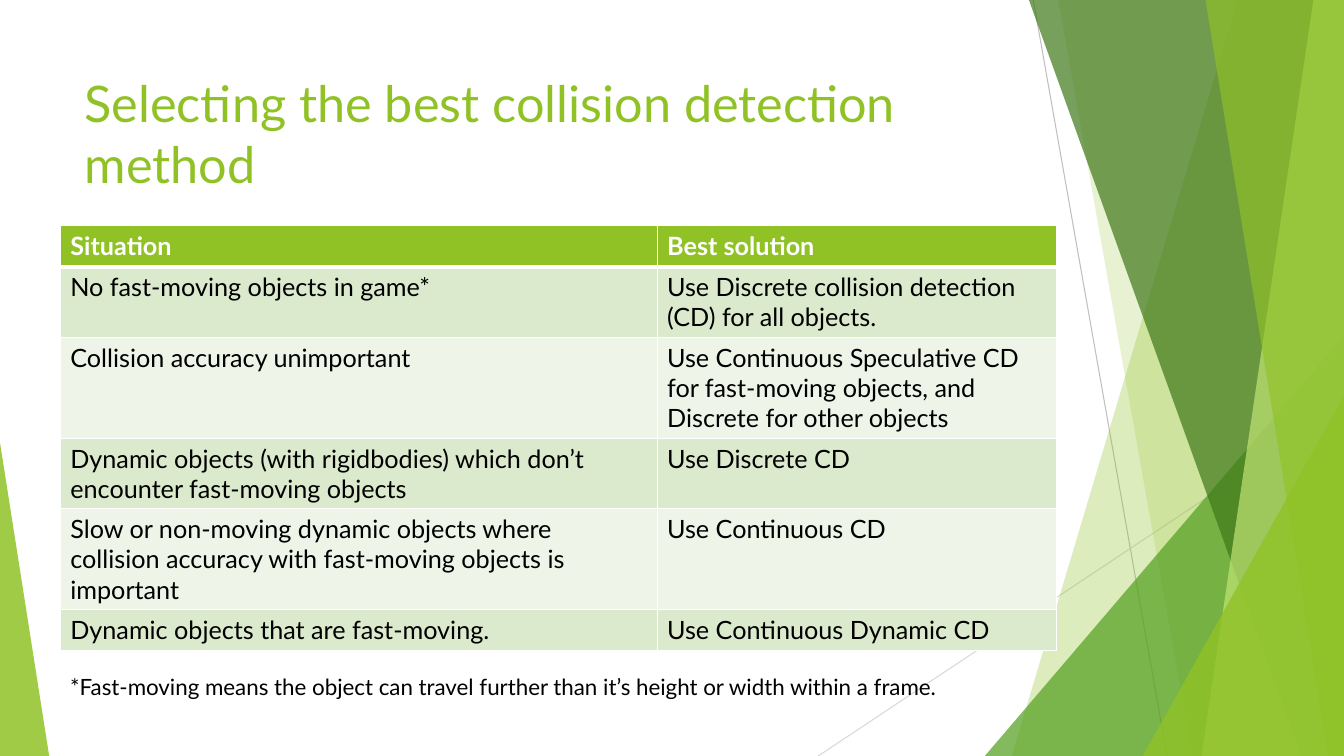
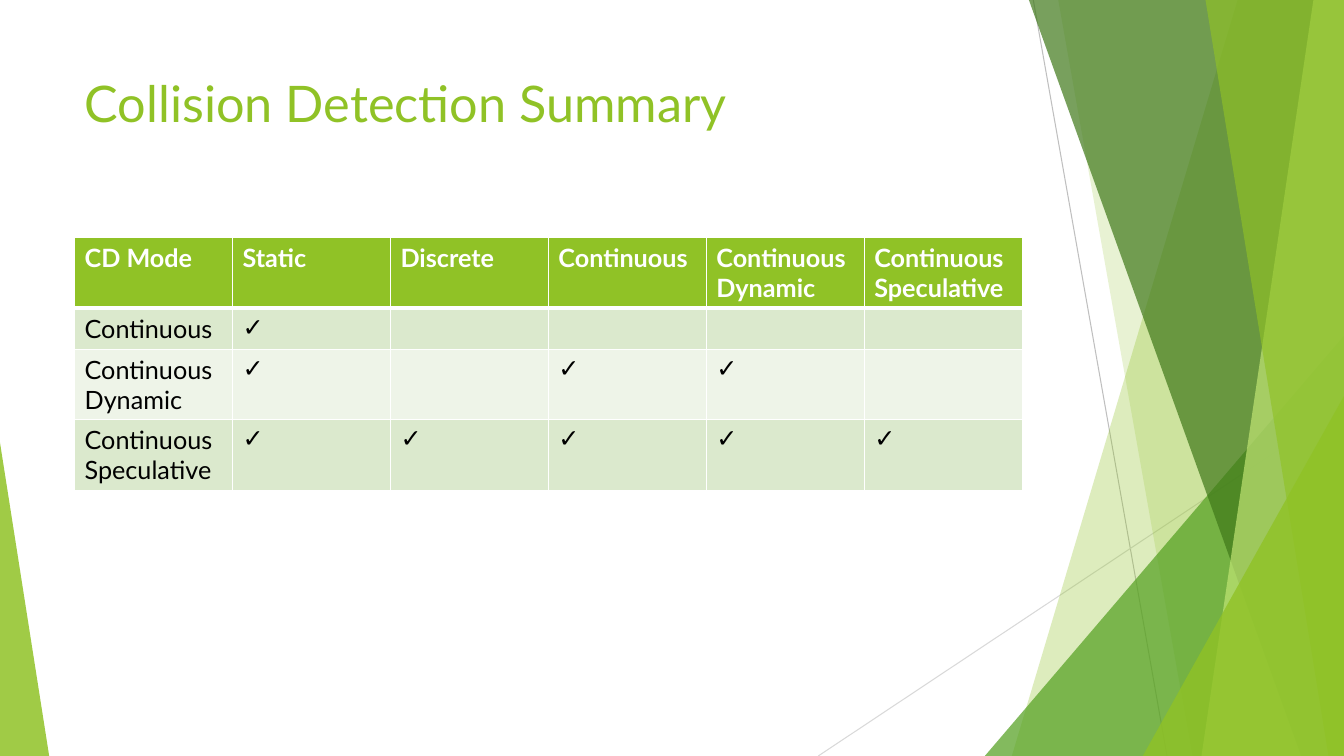
from dataclasses import dataclass

from lxml.etree import SubElement
from pptx import Presentation
from pptx.dml.color import RGBColor as RGB
from pptx.enum.shapes import MSO_CONNECTOR as CONNECTOR, MSO_SHAPE as SHAPE
from pptx.enum.text import MSO_ANCHOR as ANCHOR, MSO_AUTO_SIZE as AUTO_SIZE, PP_ALIGN as ALIGN
from pptx.oxml.ns import qn
from pptx.util import Cm, Pt


@dataclass(frozen=True)
class Theme:
    lime: str = "90C226"
    green: str = "54A021"
    forest: str = "3F7819"
    pale: str = "C0E474"
    row_odd: str = "DBE9CD"
    row_even: str = "EEF4E8"
    grey: str = "BFBFBF"
    light_grey: str = "D9D9D9"
    white: str = "FFFFFF"
    black: str = "000000"
    font: str = "Lato"
    tick_font: str = "Arial"
    title_size: int = 36
    table_size: int = 18
    note_size: int = 16


T = Theme()
W, H = 33.87, 19.05
ROW_H = 1.03
TICK = "✓"


def style_text(tf, size, color, bold=False, font=T.font):
    for p in tf.paragraphs:
        p.alignment = ALIGN.LEFT
        for r in p.runs:
            r.font.name = font
            r.font.size = Pt(size)
            r.font.bold = bold
            r.font.color.rgb = RGB.from_string(color)


def add_grid(s, left, top, col_widths, rows):
    """Add a table with a lime header, striped rows and white rules."""
    frame = s.shapes.add_table(len(rows), len(col_widths), Cm(left), Cm(top),
                               Cm(sum(col_widths)), Cm(ROW_H * len(rows)))
    table = frame.table
    for col, width in zip(table.columns, col_widths):
        col.width = Cm(width)
    for i, texts in enumerate(rows):
        table.rows[i].height = Cm(ROW_H)
        header = i == 0
        fill = T.lime if header else T.row_odd if i % 2 else T.row_even
        rules = {"L": 1, "R": 1, "T": 3 if i == 1 else 1, "B": 3 if header else 1}
        for j, text in enumerate(texts):
            cell = table.cell(i, j)
            cell.text_frame.text = text
            style_text(cell.text_frame, T.table_size, T.white if header else T.black,
                       header, T.tick_font if text == TICK else T.font)
            tc_pr = cell._tc.get_or_add_tcPr()
            for side, width in rules.items():
                ln = SubElement(tc_pr, qn(f"a:ln{side}"), w=str(Pt(width)))
                SubElement(SubElement(ln, qn("a:solidFill")), qn("a:srgbClr"), val=T.white)
            cell.fill.solid()
            cell.fill.fore_color.rgb = RGB.from_string(fill)


prs = Presentation()
prs.slide_width, prs.slide_height = Cm(W), Cm(H)
layout = prs.slide_layouts[5]

title = layout.placeholders[0]
title.left, title.top, title.width, title.height = Cm(1.88), Cm(1.7), Cm(23.88), Cm(3.66)

TITLES = ("Selecting the best collision detection method", "Collision Detection Summary")
slides = []
for text in TITLES:
    s = prs.slides.add_slide(layout)
    tf = s.shapes.title.text_frame
    tf.text = text
    tf.word_wrap = True
    tf.auto_size = AUTO_SIZE.NONE
    tf.vertical_anchor = ANCHOR.TOP
    style_text(tf, T.title_size, T.lime)
    slides.append(s)
method_slide, summary_slide = slides

# Side decoration: drawn on one slide, then moved to the shared layout
LINES = (
    (26.04, 0, 29.41, H, T.grey),
    (W, 10.24, 20.62, H, T.light_grey),
)
# Bands: x at the top, x at the bottom. Triangles: left, top, width, apex.
FACETS = (
    ("band", (31.19, 25.5), T.lime, 30),
    ("band", (26.67, 30.05), T.lime, 20),
    ("triangle", (24.82, 8.46, 9.05, 1), T.green, 72),
    ("band", (25.93, 32.79), T.forest, 70),
    ("band", (33.1, 30.28), T.pale, 70),
    ("band", (30.38, 33.48), T.lime, 65),
    ("triangle", (28.8, 9.98, 5.07, 1), T.lime, 80),
    ("triangle", (0, 11.15, 1.24, 0), T.lime, 85),
)
decor = []
for x1, y1, x2, y2, color in LINES:
    line = method_slide.shapes.add_connector(CONNECTOR.STRAIGHT, Cm(x1), Cm(y1), Cm(x2), Cm(y2))
    line.line.color.rgb = RGB.from_string(color)
    line.line.width = Pt(0.75)
    SubElement(line.element.spPr, qn("a:effectLst"))
    decor.append(line)
for kind, geometry, color, opacity in FACETS:
    if kind == "band":
        x_top, x_bottom = geometry
        outline = method_slide.shapes.build_freeform(Cm(x_top), 0)
        outline.add_line_segments([(Cm(W), 0), (Cm(W), Cm(H)), (Cm(x_bottom), Cm(H))])
        sp = outline.convert_to_shape()
    else:
        left, top, width, apex = geometry
        sp = method_slide.shapes.add_shape(SHAPE.ISOSCELES_TRIANGLE, Cm(left), Cm(top),
                                           Cm(width), Cm(H - top))
        sp.adjustments[0] = apex
    sp.shadow.inherit = False
    sp.line.fill.background()
    sp.fill.solid()
    sp.fill.fore_color.rgb = RGB.from_string(color)
    SubElement(sp.element.find(".//" + qn("a:srgbClr")), qn("a:alpha"), val=str(opacity * 1000))
    decor.append(sp)
for sp in decor:
    layout.shapes.element.append(sp.element)

add_grid(method_slide, 1.52, 5.69, (15.04, 10.06), (
    ("Situation", "Best solution"),
    ("No fast-moving objects in game*",
     "Use Discrete collision detection (CD) for all objects."),
    ("Collision accuracy unimportant",
     "Use Continuous Speculative CD for fast-moving objects, and Discrete for other objects"),
    ("Dynamic objects (with rigidbodies) which don’t encounter fast-moving objects",
     "Use Discrete CD"),
    ("Slow or non-moving dynamic objects where collision accuracy with fast-moving objects "
     "is important", "Use Continuous CD"),
    ("Dynamic objects that are fast-moving.", "Use Continuous Dynamic CD"),
))

note = method_slide.shapes.add_textbox(Cm(1.52), Cm(16.84), Cm(23.47), Cm(1.63))
tf = note.text_frame
tf.word_wrap = True
tf.auto_size = AUTO_SIZE.SHAPE_TO_FIT_TEXT
tf.text = ("*Fast-moving means the object can travel further than it’s height or width "
           "within a frame.")
style_text(tf, T.note_size, T.black)

add_grid(summary_slide, 1.88, 5.99, (3.98,) * 6, (
    ("CD Mode", "Static", "Discrete", "Continuous", "Continuous Dynamic",
     "Continuous Speculative"),
    ("Continuous", TICK, "", "", "", ""),
    ("Continuous Dynamic", TICK, "", TICK, TICK, ""),
    ("Continuous Speculative", TICK, TICK, TICK, TICK, TICK),
))

prs.save("out.pptx")
